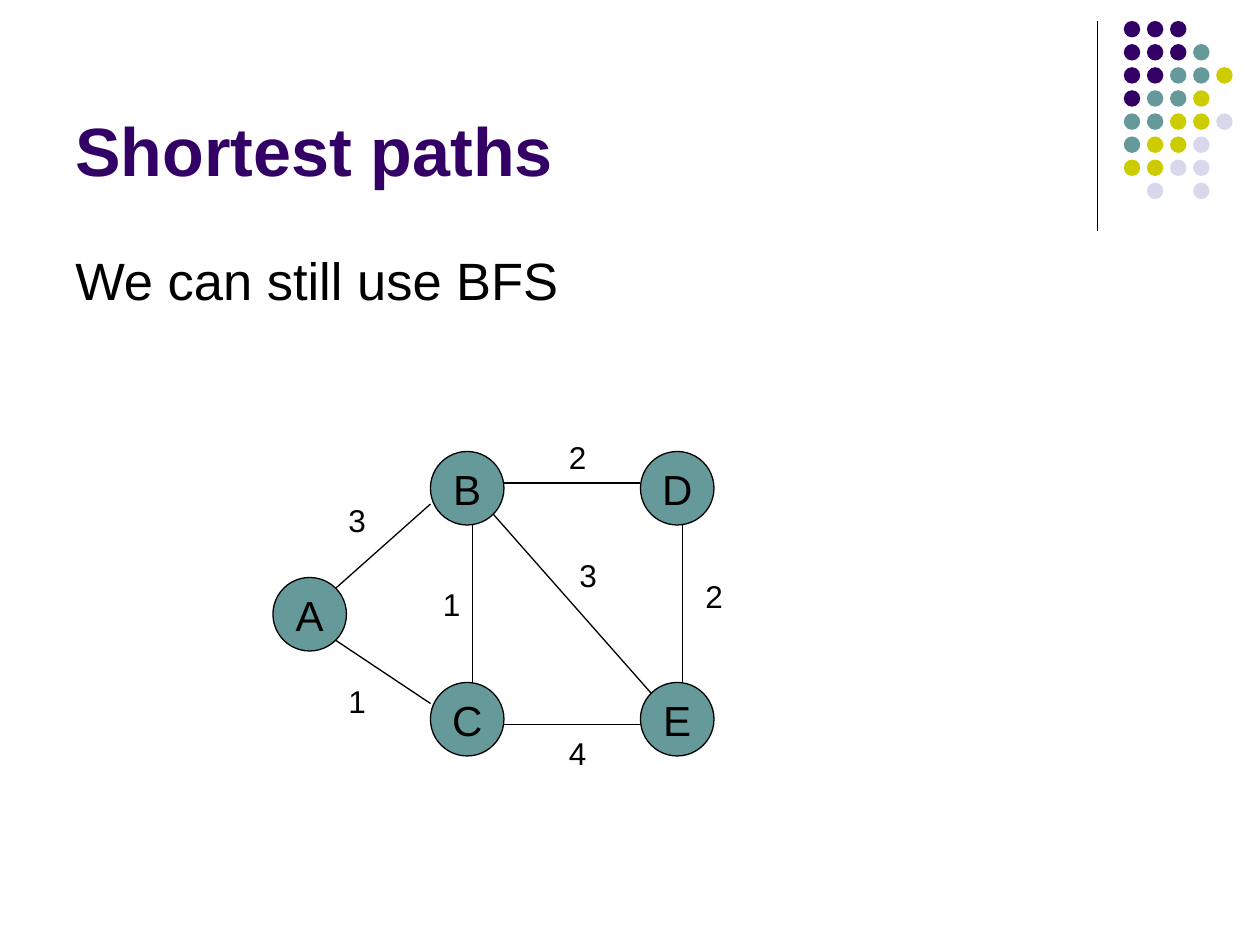
from lxml import etree
from pptx import Presentation
from pptx.dml.color import RGBColor
from pptx.enum.shapes import MSO_CONNECTOR, MSO_SHAPE
from pptx.enum.text import MSO_ANCHOR, PP_ALIGN
from pptx.oxml.ns import qn
from pptx.util import Pt

STRAIGHT = MSO_CONNECTOR.STRAIGHT
OVAL = MSO_SHAPE.OVAL
TOP, MIDDLE, BOTTOM = MSO_ANCHOR.TOP, MSO_ANCHOR.MIDDLE, MSO_ANCHOR.BOTTOM
CENTER = PP_ALIGN.CENTER

FONT = "Arial"
BLACK, PURPLE, TEAL = "000000", "330066", "669999"
DOT_COLORS = {"P": PURPLE, "T": TEAL, "Y": "CCCC00", "L": "D8D8EC"}
DOT_ROWS = ["PPP", "PPPT", "PPTTY", "PTTY", "TTYYL", "TYYL", "YYLL", ".L.L"]

# Graph parts, in points from the corner of the graph's box
NODE_SIZE = 42
NODES = {"A": (0, 84), "B": (90, 12), "C": (90, 144), "D": (210, 12), "E": (210, 144)}
# Start, end, weight, corner of the weight's label
EDGES = [
    ((36, 90), (90, 42), "3", (36, 37)),        # A-B
    ((36, 120), (90, 156), "1", (36, 140)),     # A-C
    ((132, 168), (210, 168), "4", (162, 170)),  # C-E
    ((234, 144), (234, 54), "2", (240, 80)),    # E-D
    ((114, 144), (114, 54), "1", (90, 85)),     # C-B
    ((132, 30), (210, 30), "2", (162, 1)),      # B-D
    ((126, 48), (216, 150), "3", (168, 68)),    # B-E
]


def rgb(hex_color):
    return RGBColor.from_string(hex_color)


def write(frame, text, size, color=BLACK, bold=False):
    frame.text = text
    paragraph = frame.paragraphs[0]
    font = paragraph.font
    font.name, font.size, font.bold = FONT, Pt(size), bold
    font.color.rgb = rgb(color)
    return paragraph


def add_text(slide, box, text, size, color=BLACK, bold=False, anchor=TOP):
    frame = slide.shapes.add_textbox(*map(Pt, box)).text_frame
    frame.word_wrap = True
    frame.vertical_anchor = anchor
    write(frame, text, size, color, bold)


def add_line(slide, start, end):
    line = slide.shapes.add_connector(STRAIGHT, *map(Pt, (*start, *end)))
    line.line.color.rgb = rgb(BLACK)
    line.line.width = Pt(0.75)
    etree.SubElement(line._element.spPr, qn("a:effectLst"))


def add_circle(slide, left, top, diameter, fill):
    circle = slide.shapes.add_shape(OVAL, *map(Pt, (left, top, diameter, diameter)))
    circle.shadow.inherit = False
    circle.fill.solid()
    circle.fill.fore_color.rgb = rgb(fill)
    circle.line.fill.background()
    return circle


def add_ornament(slide, left, top, width, height):
    """Vertical rule with a grid of coloured dots to its right."""
    add_line(slide, (left, top), (left, top + height))
    diameter, indent = 9.4, 15.2
    pitch = (width - indent - diameter) / (max(map(len, DOT_ROWS)) - 1)
    for row, codes in enumerate(DOT_ROWS):
        for column, code in enumerate(codes):
            if code in DOT_COLORS:
                add_circle(slide, left + indent + column * pitch,
                           top + row * pitch, diameter, DOT_COLORS[code])


def add_graph(slide, left, top):
    """Weighted graph: nodes, then edges, then weights."""
    def place(point):
        return left + point[0], top + point[1]

    for name, corner in NODES.items():
        node = add_circle(slide, *place(corner), NODE_SIZE, TEAL)
        node.line.color.rgb = rgb(BLACK)
        node.line.width = Pt(0.75)
        frame = node.text_frame
        frame.margin_left = frame.margin_right = frame.margin_top = frame.margin_bottom = 0
        frame.word_wrap = False
        frame.vertical_anchor = MIDDLE
        write(frame, name, 24).alignment = CENTER
    for start, end, _, _ in EDGES:
        add_line(slide, place(start), place(end))
    for _, _, weight, corner in EDGES:
        add_text(slide, (*place(corner), 42, 29), weight, 18)


def main():
    presentation = Presentation()
    presentation.slide_width, presentation.slide_height = Pt(720), Pt(540)
    slide = presentation.slides.add_slide(presentation.slide_layouts[6])

    add_ornament(slide, 627, 12, 77.4, 120)
    # Heading and statement
    add_text(slide, (36, 10, 594, 102), "Shortest paths", 39, PURPLE, True, BOTTOM)
    add_text(slide, (36, 138, 648, 60), "We can still use BFS", 30)
    add_graph(slide, 156, 246)

    presentation.save("out.pptx")


if __name__ == "__main__":
    main()
